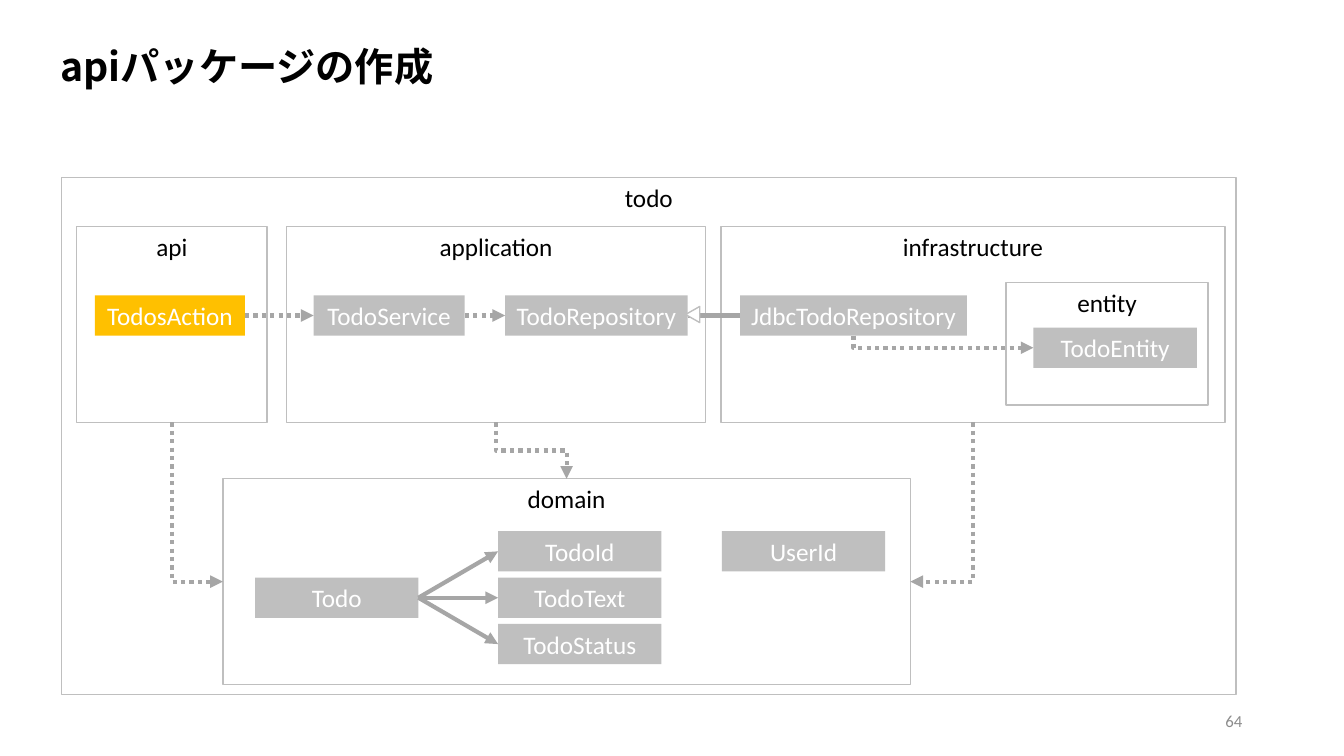
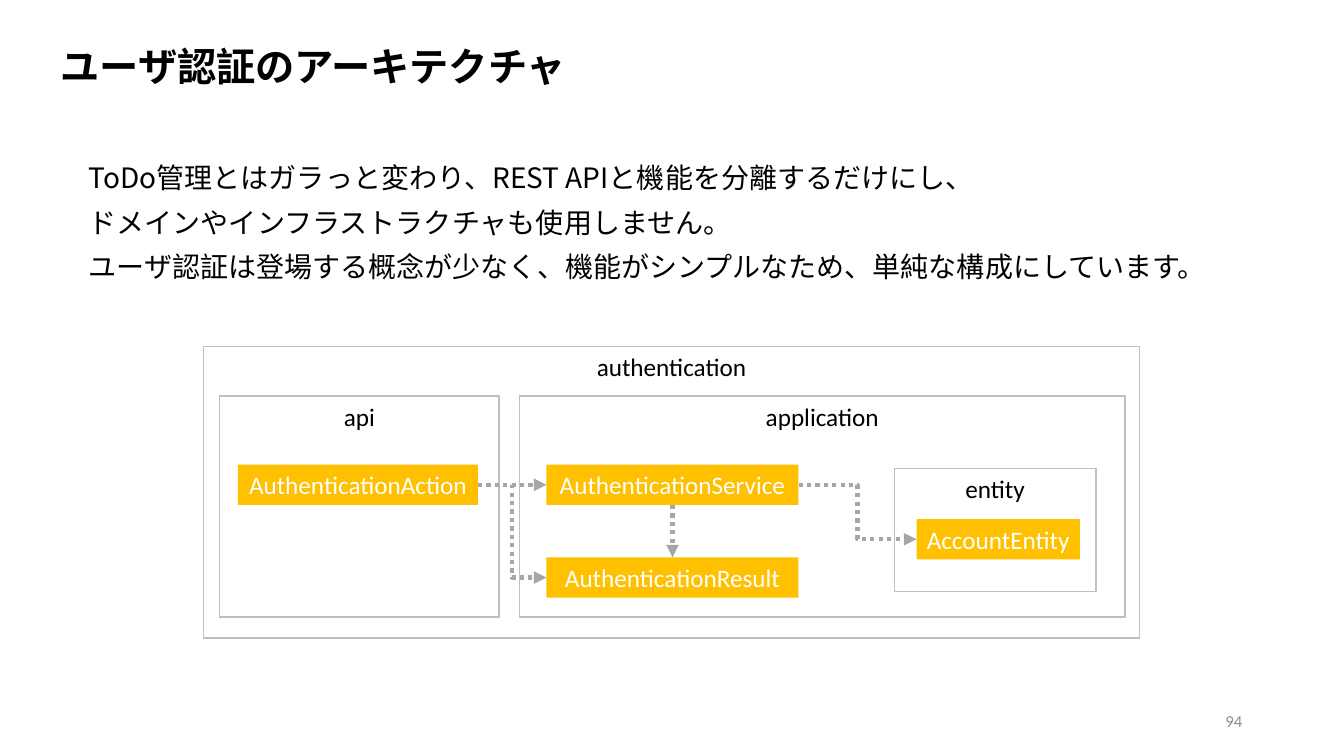
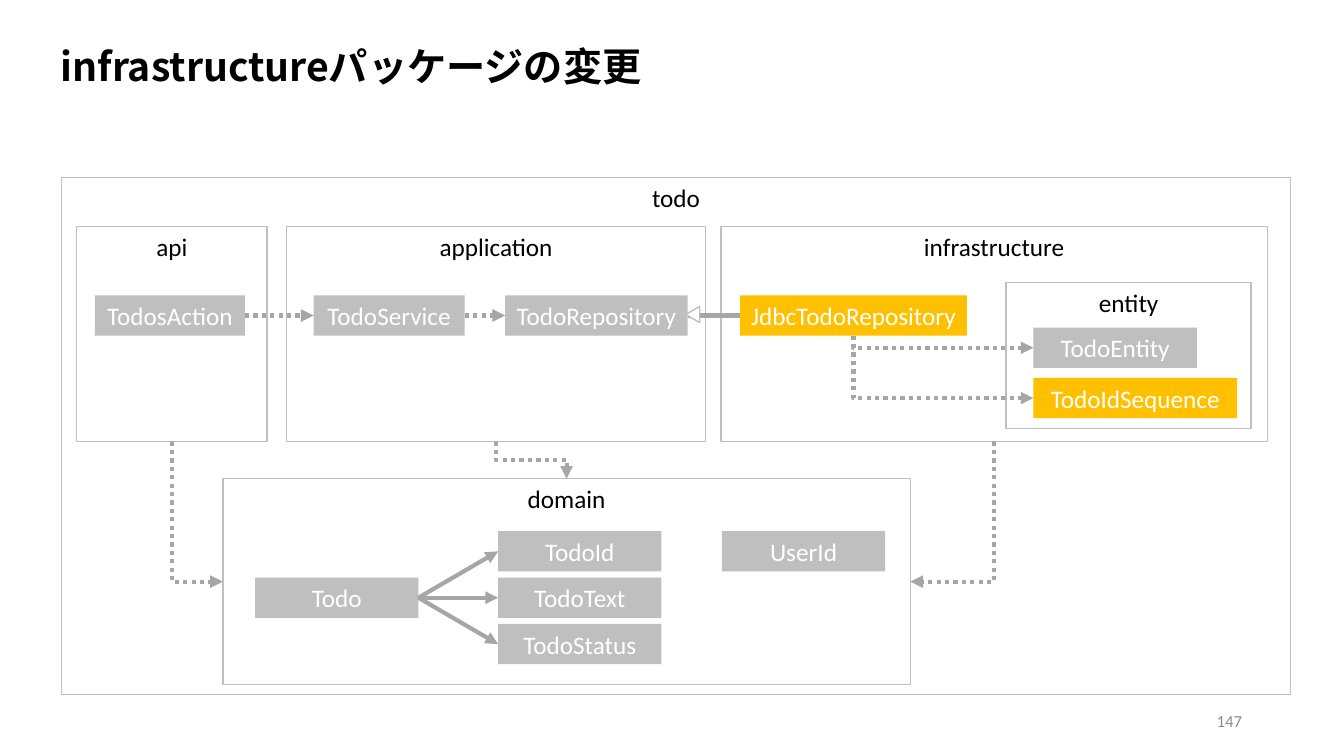
import dataclasses

import lxml.etree
import pptx
import pptx.dml.color
import pptx.enum.dml
import pptx.enum.shapes
import pptx.enum.text
import pptx.oxml.ns
import pptx.util

PX = 9144  # 100 px to the inch
ALIGN = pptx.enum.text.PP_ALIGN
ANCHOR = pptx.enum.text.MSO_ANCHOR
SHAPE = pptx.enum.shapes.MSO_SHAPE
CONNECTOR = pptx.enum.shapes.MSO_CONNECTOR
RGB = pptx.dml.color.RGBColor.from_string
qn = pptx.oxml.ns.qn


@dataclasses.dataclass(frozen=True)
class Theme:
    ink = RGB("000000")
    paper = RGB("FFFFFF")
    frame = RGB("BFBFBF")
    arrow = RGB("A6A6A6")
    accent = RGB("FFC000")
    page = RGB("8C8C8C")
    latin = "Calibri"
    japanese = "Noto Sans CJK JP"
    title_size = 28
    body_size = 20
    label_size = 18
    page_size = 12
    frame_width = 1
    arrow_width = 3


theme = Theme()


def write(box, text, size=theme.label_size, color=theme.ink, font=theme.latin, bold=False,
          align=ALIGN.CENTER, anchor=ANCHOR.TOP, wrap=True, leading=None):
    """Fill a box with unbulleted text, one paragraph to a line."""
    frame = box.text_frame
    frame.text = text
    frame.word_wrap = wrap
    frame.auto_size = pptx.enum.text.MSO_AUTO_SIZE.NONE
    frame.vertical_anchor = anchor
    for paragraph in frame.paragraphs:
        properties = paragraph._p.get_or_add_pPr()
        properties.set("marL", "0")
        properties.set("indent", "0")
        lxml.etree.SubElement(properties, qn("a:buNone"))
        paragraph.alignment = align
        paragraph.space_before = pptx.util.Pt(0)
        if leading:
            paragraph.line_spacing = pptx.util.Pt(leading)
        for run in paragraph.runs:
            run.font.size = pptx.util.Pt(size)
            run.font.bold = bold
            run.font.color.rgb = color
            run.font.name = font
            lxml.etree.SubElement(run._r.rPr, qn("a:ea"), typeface=font)


def connect(slide, start, start_side, end, end_side, bend=None, dotted=True, head=True):
    """Join two boxes; a bend that leaves a bottom side (2) runs downwards first."""
    kind = CONNECTOR.ELBOW if bend else CONNECTOR.STRAIGHT
    link = slide.shapes.add_connector(kind, 0, 0, 0, 0)
    link.begin_connect(start, start_side)
    link.end_connect(end, end_side)
    properties = link._element.spPr
    if bend:
        properties.find(qn("a:prstGeom")).set("prst", bend)
    if bend and start_side == 2:
        across, down = link.end_x - link.begin_x, link.end_y - link.begin_y
        middle_x, middle_y = link.begin_x + across // 2, link.begin_y + down // 2
        link.width, link.height = down, abs(across)
        link.left, link.top = middle_x - down // 2, middle_y - abs(across) // 2
        turn = properties.find(qn("a:xfrm"))
        turn.set("rot", str((270 if across > 0 else 90) * 60000))
        turn.set("flipH", "1" if across > 0 else "0")
    link.line.color.rgb = theme.arrow
    link.line.width = pptx.util.Pt(theme.arrow_width)
    if dotted:
        link.line.dash_style = pptx.enum.dml.MSO_LINE.ROUND_DOT
    if head:
        lxml.etree.SubElement(link.line._get_or_add_ln(), qn("a:tailEnd"), type="triangle")
    lxml.etree.SubElement(properties, qn("a:effectLst"))


# Todo architecture: packages (left, top, width, height), classes (left, top, width)
CLASS_HEIGHT = 40
todo_packages = {
    "todo": (61, 176, 1165, 513),
    "api": (76, 225, 189, 194),
    "application": (284, 225, 416, 194),
    "infrastructure": (715, 225, 500, 194),
    "domain": (221, 475, 682, 204),
    "entity": (998, 280, 200, 122),
}
todo_classes = {
    "TodosAction": (94, 293, 149),
    "TodoService": (311, 293, 150),
    "TodoRepository": (501, 293, 181),
    "JdbcTodoRepository": (734, 293, 225),
    "TodoEntity": (1025, 325, 162),
    "Todo": (253, 573, 162),
    "UserId": (716, 527, 162),
}
todo_values = ["TodoId", "TodoText", "TodoStatus"]
for row, value in enumerate(todo_values):
    todo_classes[value] = (494, 527 + 46 * row, 162)

# Links: start, side, end, side, format
todo_links = [
    ("TodosAction", 3, "TodoService", 1, {}),
    ("TodoService", 3, "TodoRepository", 1, {}),
    ("JdbcTodoRepository", 2, "TodoEntity", 1, {"bend": "bentConnector2"}),
    ("infrastructure", 2, "domain", 3, {"bend": "bentConnector2"}),
    ("application", 2, "domain", 0, {"bend": "bentConnector3"}),
    ("api", 2, "domain", 1, {"bend": "bentConnector2"}),
    ("JdbcTodoRepository", 1, "TodoRepository", 3, {"dotted": False, "head": False}),
] + [("Todo", 3, value, 1, {"dotted": False}) for value in todo_values]

# Authentication architecture
authentication_packages = {
    "authentication": (202, 344, 928, 289),
    "api": (218, 393, 277, 219),
    "application": (515, 393, 601, 219),
    "entity": (887, 465, 200, 122),
}
authentication_classes = {
    "AuthenticationAction": (236, 461, 238),
    "AuthenticationService": (542, 461, 250),
    "AuthenticationResult": (542, 553, 250),
    "AccountEntity": (909, 515, 162),
}
authentication_links = [
    ("AuthenticationAction", 3, "AuthenticationService", 1, {}),
    ("AuthenticationService", 2, "AuthenticationResult", 0, {}),
    ("AuthenticationService", 3, "AccountEntity", 1, {"bend": "bentConnector3"}),
    ("AuthenticationAction", 3, "AuthenticationResult", 1, {"bend": "bentConnector3"}),
]

# Pages
pages = [
    dict(title="apiパッケージの作成", number="64", packages=todo_packages,
         classes=todo_classes, links=todo_links, changed={"TodosAction"}),
    dict(title="ユーザ認証のアーキテクチャ", number="94", packages=authentication_packages,
         classes=authentication_classes, links=authentication_links,
         changed=set(authentication_classes),
         body="ToDo管理とはガラっと変わり、REST APIと機能を分離するだけにし、\n"
              "ドメインやインフラストラクチャも使用しません。\n"
              "ユーザ認証は登場する概念が少なく、機能がシンプルなため、単純な構成にしています。"),
    dict(title="infrastructureパッケージの変更", number="147",
         packages={**todo_packages,
                   "todo": (61, 176, 1219, 513),
                   "api": (76, 225, 189, 213),
                   "application": (284, 225, 416, 213),
                   "infrastructure": (715, 225, 542, 213),
                   "entity": (998, 280, 243, 145)},
         classes={**todo_classes, "TodoIdSequence": (1025, 375, 202)},
         links=todo_links + [("JdbcTodoRepository", 2, "TodoIdSequence", 1,
                              {"bend": "bentConnector2"})],
         changed={"JdbcTodoRepository", "TodoIdSequence"}),
]

deck = pptx.Presentation()
deck.slide_width, deck.slide_height = 1333 * PX, 750 * PX

for page in pages:
    body_text = page.get("body")
    slide = deck.slides.add_slide(deck.slide_layouts[1 if body_text else 5])

    # Title, body and page number
    title = slide.shapes.title
    title.left, title.top, title.width, title.height = 50 * PX, 37 * PX, 987 * PX, 57 * PX
    write(title, page["title"], size=theme.title_size, font=theme.japanese, bold=True,
          align=ALIGN.LEFT)
    if body_text:
        body = slide.placeholders[1]
        body.left, body.top, body.width, body.height = 78 * PX, 143 * PX, 1191 * PX, 139 * PX
        write(body, body_text, size=theme.body_size, font=theme.japanese,
              align=ALIGN.LEFT, leading=32)
    number = slide.shapes.add_textbox(942 * PX, 695 * PX, 300 * PX, 40 * PX)
    write(number, page["number"], size=theme.page_size, color=theme.page,
          align=ALIGN.RIGHT, anchor=ANCHOR.MIDDLE)

    # Package frames
    boxes = {}
    for name, place in page["packages"].items():
        package = slide.shapes.add_shape(SHAPE.RECTANGLE, *(length * PX for length in place))
        package.shadow.inherit = False
        package.fill.background()
        package.line.color.rgb = theme.frame
        package.line.width = pptx.util.Pt(theme.frame_width)
        write(package, name)
        boxes[name] = package

    # Class labels
    for name, place in page["classes"].items():
        label = slide.shapes.add_shape(
            SHAPE.RECTANGLE, *(length * PX for length in (*place, CLASS_HEIGHT)))
        label.shadow.inherit = False
        label.fill.solid()
        label.fill.fore_color.rgb = theme.accent if name in page["changed"] else theme.frame
        label.line.fill.background()
        write(label, name, color=theme.paper, anchor=ANCHOR.MIDDLE, wrap=False)
        boxes[name] = label

    # Dependencies
    for start, start_side, end, end_side, style in page["links"]:
        connect(slide, boxes[start], start_side, boxes[end], end_side, **style)

    # Hollow head of the implementation arrow
    if "TodoRepository" in boxes:
        hollow_head = slide.shapes.add_shape(
            SHAPE.ISOSCELES_TRIANGLE, 679 * PX, 305 * PX, 16 * PX, 14 * PX)
        hollow_head.rotation = 270
        hollow_head.shadow.inherit = False
        hollow_head.fill.solid()
        hollow_head.fill.fore_color.rgb = theme.paper
        hollow_head.line.color.rgb = theme.frame
        hollow_head.line.width = pptx.util.Pt(theme.frame_width)

deck.save("out.pptx")
